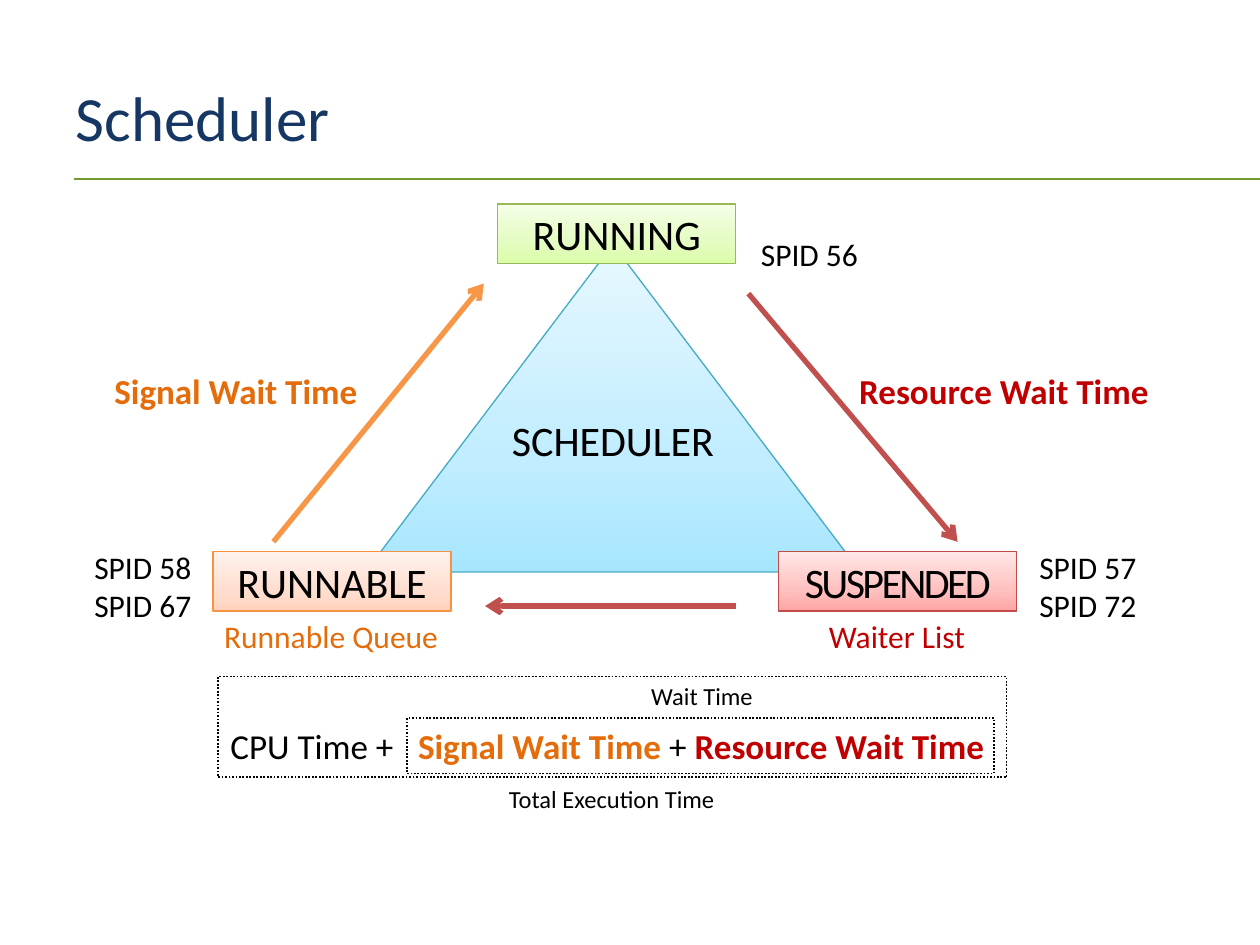
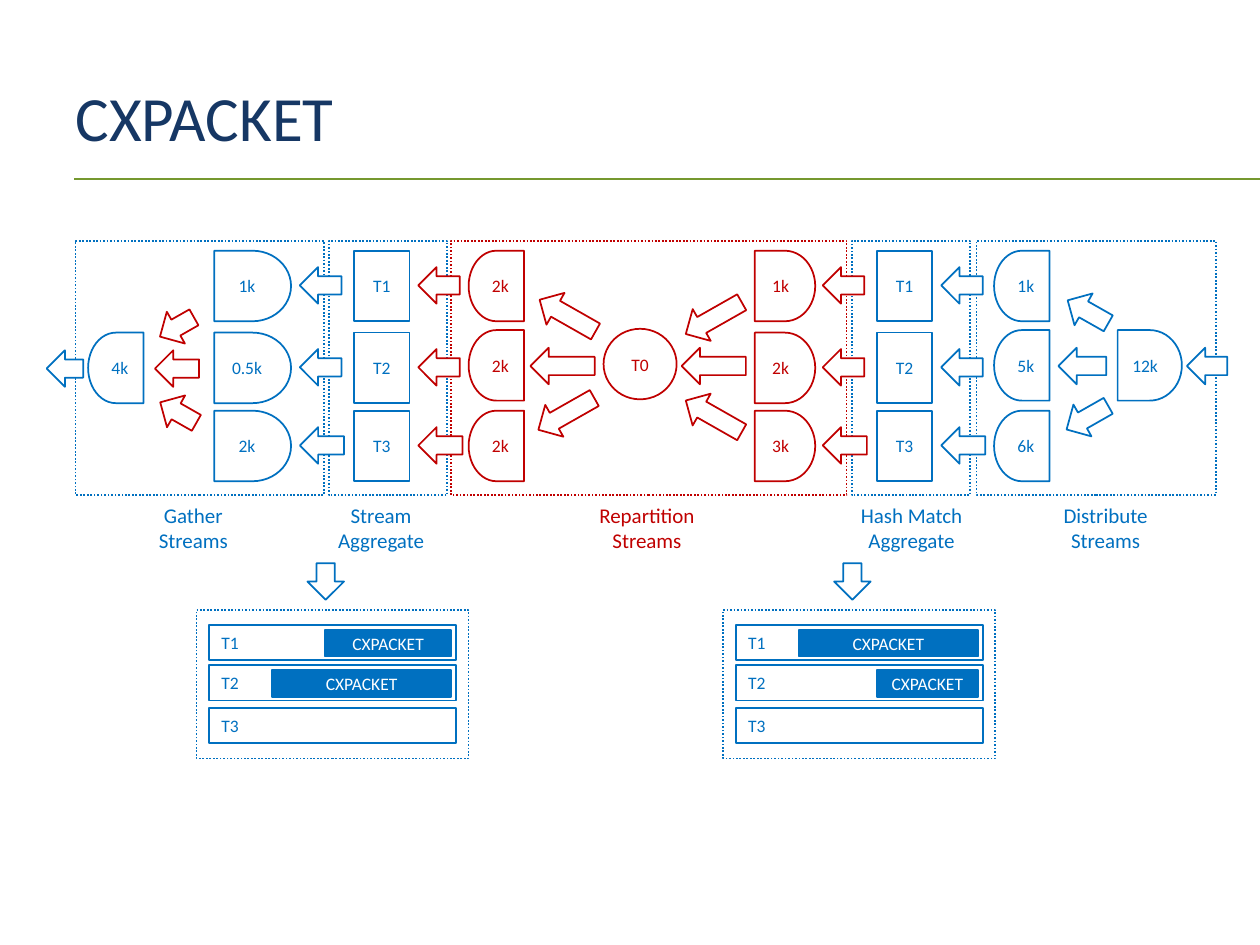
import copy

import pptx
import pptx.dml.color
import pptx.enum.dml
import pptx.enum.shapes
import pptx.enum.text
import pptx.oxml
import pptx.oxml.ns
import pptx.util
from pptx.util import Inches

RGBColor = pptx.dml.color.RGBColor
SHAPE = pptx.enum.shapes.MSO_SHAPE
ALIGN = pptx.enum.text.PP_ALIGN
ANCHOR = pptx.enum.text.MSO_ANCHOR
qn = pptx.oxml.ns.qn

FONT = "Calibri"
NAVY = RGBColor(0x16, 0x37, 0x64)
OLIVE = RGBColor(0x75, 0x98, 0x2F)
BLACK = RGBColor(0x00, 0x00, 0x00)
WHITE = RGBColor(0xFF, 0xFF, 0xFF)
BLUE = RGBColor(0x00, 0x70, 0xC0)
RED = RGBColor(0xC0, 0x00, 0x00)
ORANGE = RGBColor(0xE4, 0x6C, 0x0A)
BRICK = RGBColor(0xC0, 0x50, 0x4D)
AMBER = RGBColor(0xF7, 0x96, 0x46)
TEAL_LINE = RGBColor(0x46, 0xAA, 0xC5)
RED_LINE = RGBColor(0xBF, 0x4C, 0x48)
ORANGE_LINE = RGBColor(0xF6, 0x92, 0x40)
GREEN_LINE = RGBColor(0x98, 0xB9, 0x55)
SKY_BLEND = [RGBColor(0xA7, 0xE6, 0xFF), RGBColor(0xC1, 0xED, 0xFF), RGBColor(0xE7, 0xF8, 0xFF)]
ROSE_BLEND = [RGBColor(0xFF, 0xA6, 0xA5), RGBColor(0xFF, 0xC0, 0xBF), RGBColor(0xFF, 0xE7, 0xE7)]
PEACH_BLEND = [RGBColor(0xFF, 0xD2, 0xBD), RGBColor(0xFF, 0xDE, 0xD0), RGBColor(0xFF, 0xF2, 0xED)]
LIME_BLEND = [RGBColor(0xDA, 0xFD, 0xA7), RGBColor(0xE4, 0xFC, 0xC2), RGBColor(0xF5, 0xFF, 0xE7)]


def add_box(shapes, kind, place, text="", size=10, color=BLUE, line=None, fill=None,
            weight=1, dotted=False, align=ALIGN.CENTER, anchor=ANCHOR.MIDDLE,
            bold=False, wrap=True):
    """Add a preset shape, or a text box when kind is None, with formatted text."""
    lengths = [Inches(value) for value in place]
    if kind is None:
        box = shapes.add_textbox(*lengths)
    else:
        box = shapes.add_shape(kind, *lengths)
        box.shadow.inherit = False
        box.line.color.rgb = line or color
        box.line.width = pptx.util.Pt(weight)
        if dotted:
            box.line.dash_style = pptx.enum.dml.MSO_LINE.ROUND_DOT
        if fill is None:
            box.fill.background()
        elif isinstance(fill, list):
            box.fill.gradient()
            box.fill.gradient_angle = 90
            stop_list = box._element.spPr.find(".//" + qn("a:gsLst"))
            stop_list.insert(1, copy.deepcopy(stop_list[0]))
            for stop, stop_color, position in zip(box.fill.gradient_stops, fill, (0, 0.35, 1)):
                stop.color.rgb = stop_color
                stop.position = position
        else:
            box.fill.solid()
            box.fill.fore_color.rgb = fill
    frame = box.text_frame
    frame.word_wrap = wrap
    frame.vertical_anchor = anchor
    if kind is not None and align == ALIGN.CENTER:
        frame.margin_left = frame.margin_right = 0
    if text:
        frame.text = text
        for para in frame.paragraphs:
            para.alignment = align
            for span in para.runs:
                span.font.name = FONT
                span.font.size = pptx.util.Pt(size)
                span.font.color.rgb = color
                span.font.bold = bold
    return box


def add_line(shapes, start, end, color, weight, arrow=False):
    """Add a straight line without shadow, with an open arrowhead if asked."""
    points = [Inches(value) for value in start + end]
    line = shapes.add_connector(pptx.enum.shapes.MSO_CONNECTOR.STRAIGHT, *points)
    line.line.color.rgb = color
    line.line.width = pptx.util.Pt(weight)
    if arrow:
        pptx.oxml.xmlchemy.OxmlElement  # element factory comes with pptx.oxml
        head = line.line._get_or_add_ln().makeelement(qn("a:tailEnd"), {"type": "arrow"})
        line.line._get_or_add_ln().append(head)
    properties = line._element.spPr
    properties.append(properties.makeelement(qn("a:effectLst"), {}))
    return line


deck = pptx.Presentation()
deck.slide_width = Inches(10)
deck.slide_height = Inches(7.5)

# Shared by both slides: title place and style, rule under the title
layout = deck.slide_layouts[5]
layout_title = layout.placeholders[0]
layout_title.left, layout_title.top = Inches(0.5), Inches(0.3)
layout_title.width, layout_title.height = Inches(9), Inches(1.25)
pages = []
for title in ("Scheduler", "CXPACKET"):
    page = deck.slides.add_slide(layout)
    frame = page.shapes.title.text_frame
    frame.text = title
    frame.vertical_anchor = ANCHOR.MIDDLE
    frame.paragraphs[0].alignment = ALIGN.LEFT
    font = frame.paragraphs[0].runs[0].font
    font.name, font.size, font.color.rgb = FONT, pptx.util.Pt(36), NAVY
    pages.append(page)
rule = add_line(pages[0].shapes, (0.59, 1.42), (10.09, 1.42), OLIVE, 1)
layout.shapes._spTree.append(rule._element)

# Slide 1: scheduler triangle
shapes = pages[0].shapes
add_box(shapes, SHAPE.ISOSCELES_TRIANGLE, (2.9, 1.94, 3.93, 2.6), "SCHEDULER", 24, BLACK,
        TEAL_LINE, SKY_BLEND, 0.75, anchor=ANCHOR.TOP)
for state, left, top, line, blend in (
        ("SUSPENDED", 6.18, 4.38, RED_LINE, ROSE_BLEND),
        ("RUNNABLE", 1.69, 4.38, ORANGE_LINE, PEACH_BLEND),
        ("RUNNING", 3.95, 1.62, GREEN_LINE, LIME_BLEND)):
    box = add_box(shapes, SHAPE.RECTANGLE, (left, top, 1.89, 0.47), state, 24, BLACK,
                  line, blend, 0.75)
    if state == "SUSPENDED":
        box.text_frame.paragraphs[0].runs[0].font._element.set("spc", "-150")

for text, place, size, color, bold in (
        ("SPID 56", (5.94, 1.82, 0.98, 0.4), 18, BLACK, False),
        ("SPID 58\nSPID 67", (0.65, 4.3, 0.98, 0.71), 18, BLACK, False),
        ("SPID 57\nSPID 72", (8.15, 4.3, 0.98, 0.71), 18, BLACK, False),
        ("Resource Wait Time", (6.72, 2.88, 2.52, 0.44), 20, RED, True),
        ("Signal Wait Time", (0.81, 2.88, 2.14, 0.44), 20, ORANGE, True),
        ("Waiter List", (6.48, 4.85, 1.37, 0.4), 18, RED, False),
        ("Runnable Queue", (1.68, 4.85, 1.91, 0.4), 18, ORANGE, False)):
    add_box(shapes, None, place, text, size, color, align=ALIGN.LEFT, anchor=ANCHOR.TOP,
            bold=bold, wrap=False)

for start, end, color in (
        ((5.94, 2.33), (7.6, 4.3), BRICK),
        ((2.17, 4.3), (3.84, 2.25), AMBER),
        ((5.84, 4.81), (3.85, 4.81), BRICK)):
    add_line(shapes, start, end, color, 3, arrow=True)

# Execution time formula; a tab stop lines the waits up with the inner frame
formula = pages[0].shapes.add_group_shape().shapes
box = add_box(formula, None, (1.73, 5.7, 6.25, 0.44), "CPU Time +\t", 20, BLACK,
              align=ALIGN.LEFT, anchor=ANCHOR.TOP)
para = box.text_frame.paragraphs[0]
for text, color, bold in (("Signal Wait Time ", ORANGE, True), ("+ ", BLACK, False),
                          ("Resource Wait Time", RED, True)):
    span = para.add_run()
    span.text = text
    span.font.name, span.font.size = FONT, pptx.util.Pt(20)
    span.font.color.rgb, span.font.bold = color, bold
properties = para._p.get_or_add_pPr()
tab_list = properties.makeelement(qn("a:tabLst"), {})
tab_list.append(tab_list.makeelement(qn("a:tab"), {"pos": str(Inches(1.49)), "algn": "l"}))
properties.append(tab_list)
for place in ((3.23, 5.7, 4.66, 0.44), (1.73, 5.37, 6.26, 0.8)):
    add_box(formula, SHAPE.RECTANGLE, place, line=BLACK, dotted=True)
for text, place in (("Wait Time", (5.07, 5.36, 1.02, 0.34)),
                    ("Total Execution Time", (3.94, 6.17, 1.85, 0.34))):
    add_box(formula, None, place, text, 14, BLACK, align=ALIGN.LEFT, anchor=ANCHOR.TOP,
            wrap=False)

# Slide 2: stages of the parallel plan, each a dotted frame with a caption
shapes = pages[1].shapes
for text, left, width, caption_left, color in (
        ("Gather Streams", 0.6, 1.97, 1, BLUE),
        ("Stream\nAggregate", 2.61, 0.94, 2.49, BLUE),
        ("Repartition Streams", 3.58, 3.14, 4.6, RED),
        ("Hash Match\nAggregate", 6.76, 0.94, 6.7, BLUE),
        ("Distribute Streams", 7.75, 1.9, 8.24, BLUE)):
    add_box(shapes, SHAPE.RECTANGLE, (left, 1.91, width, 2.02), line=color, dotted=True)
    add_box(shapes, None, (caption_left, 3.94, 1.07, 0.5), text, 12, color,
            anchor=ANCHOR.TOP)

# Columns of threads and row counts
DELAY = SHAPE.FLOWCHART_DELAY
THREADS = ("T1", "T2", "T3")
for kind, left, width, middle, labels, color, flipped in (
        (DELAY, 1.7, 0.61, 2.64, ("1k", "0.5k", "2k"), BLUE, False),
        (SHAPE.RECTANGLE, 2.81, 0.44, 2.64, THREADS, BLUE, False),
        (DELAY, 3.72, 0.44, 2.62, ("2k", "2k", "2k"), RED, True),
        (DELAY, 5.99, 0.48, 2.64, ("1k", "2k", "3k"), RED, False),
        (SHAPE.RECTANGLE, 6.96, 0.44, 2.64, THREADS, BLUE, False),
        (DELAY, 7.89, 0.44, 2.62, ("1k", "5k", "6k"), BLUE, True)):
    for top, label in zip((1.99, middle, 3.26), labels):
        box = add_box(shapes, kind, (left, top, width, 0.56), label, color=color, fill=WHITE)
        if flipped:
            box._element.spPr.xfrm.set("flipH", "1")

# Single nodes where streams meet
add_box(shapes, DELAY, (8.87, 2.62, 0.51, 0.56), "12k", fill=WHITE)
add_box(shapes, SHAPE.OVAL, (4.79, 2.61, 0.58, 0.56), "T0", color=RED, fill=WHITE)
total = add_box(shapes, DELAY, (0.7, 2.64, 0.44, 0.56), "4k", fill=WHITE)
total._element.spPr.xfrm.set("flipH", "1")

# Arrows: left, top, width, rotation, colour
TILT = 29.6
arrows = [
    (0.37, 2.78, 0.29, 0, BLUE), (9.42, 2.76, 0.32, 0, BLUE),
    (1.25, 2.45, 0.31, -TILT, RED), (1.23, 2.78, 0.35, 0, RED), (1.25, 3.13, 0.33, TILT, RED),
    (4.25, 2.36, 0.51, TILT, RED), (4.21, 2.76, 0.51, 0, RED), (4.24, 3.14, 0.51, -TILT, RED),
    (5.41, 2.38, 0.51, -TILT, RED), (5.41, 2.76, 0.51, 0, RED), (5.41, 3.16, 0.51, TILT, RED),
    (8.45, 2.33, 0.37, TILT, BLUE), (8.4, 2.76, 0.38, 0, BLUE), (8.44, 3.17, 0.38, -TILT, BLUE),
]
for left, color in ((2.38, BLUE), (3.32, RED), (6.53, RED), (7.47, BLUE)):
    for top, width in ((2.12, 0.33), (2.77, 0.33), (3.39, 0.35)):
        arrows.append((left, top, width, 0, color))

# Wait panels: frame, thread bars and the CXPACKET share at the right of each bar
for panel_left, waits in ((1.56, (1, 1.42)), (5.74, (1.42, 0.8))):
    add_box(shapes, SHAPE.RECTANGLE, (panel_left, 4.84, 2.16, 1.18), dotted=True)
    for thread, top in zip(THREADS, (4.96, 5.28, 5.62)):
        add_box(shapes, SHAPE.RECTANGLE, (panel_left + 0.1, top, 1.96, 0.28), thread,
                fill=WHITE, align=ALIGN.LEFT)
    for wait, top in zip(waits, (5, 5.32)):
        add_box(shapes, SHAPE.RECTANGLE, (panel_left + 2.02 - wait, top, wait, 0.21),
                "CXPACKET", color=WHITE, line=BLUE, fill=BLUE)
    arrows.append((panel_left + 0.88, 4.47, 0.29, 270, BLUE))

for left, top, width, rotation, color in arrows:
    arrow = add_box(shapes, SHAPE.LEFT_ARROW, (left, top, width, 0.29), color=color, fill=WHITE)
    arrow.rotation = rotation

deck.save("out.pptx")
